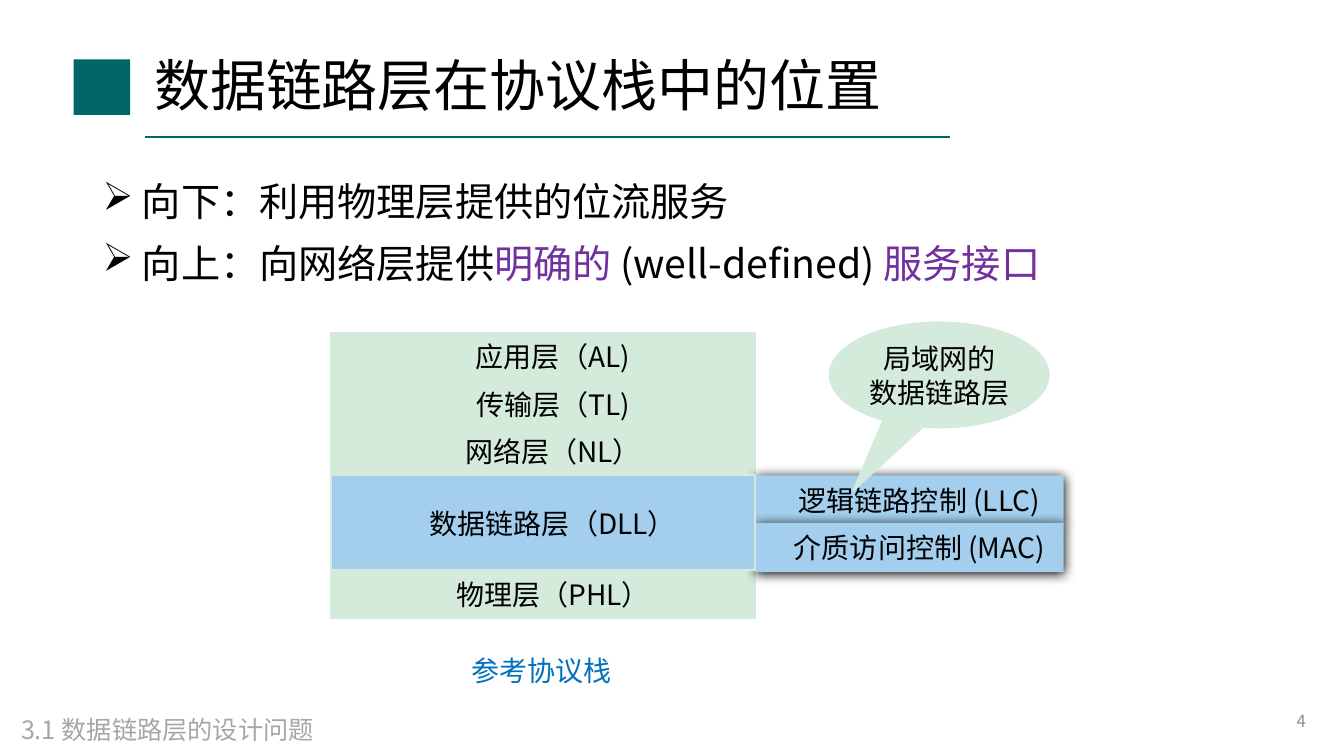
"""Build a slide that places the data link layer in the protocol stack."""
from dataclasses import dataclass, field

from lxml.etree import SubElement
from pptx import Presentation
from pptx.dml.color import RGBColor
from pptx.enum.shapes import MSO_CONNECTOR, MSO_SHAPE
from pptx.enum.text import MSO_ANCHOR, MSO_AUTO_SIZE, PP_ALIGN
from pptx.oxml.ns import qn
from pptx.util import Emu, Inches, Pt

FONT = "Noto Sans CJK SC"
WIDTH, HEIGHT = Inches(13.333), Inches(7.5)
COLOURS = {
    "teal": "006666", "black": "000000", "number": "8C8C8C", "section": "A6A6A6",
    "caption": "0070C0", "accent": "7030A0", "mint": "D4EBDB", "sky": "A3CEED",
}

STACK_LEFT, STACK_TOP, STACK_WIDTH = 24.6, 44.0, 31.58
ROW = 37.74 / 6
SUBLAYER_WIDTH, SUBLAYER_HEIGHT = 22.96, 6.53

TIGHT = {"margin_left": 0, "margin_right": 0, "margin_top": 0, "margin_bottom": 0,
         "word_wrap": False, "vertical_anchor": MSO_ANCHOR.MIDDLE}
MIDDLE = {"word_wrap": True, "vertical_anchor": MSO_ANCHOR.MIDDLE}
GROWING = {"word_wrap": True, "auto_size": MSO_AUTO_SIZE.SHAPE_TO_FIT_TEXT}
CENTRED = {"alignment": PP_ALIGN.CENTER}

Line = list[tuple[str, str]]


@dataclass(frozen=True)
class Box:
    """Hold a place as percentages of the slide's width and height."""
    left: float
    top: float
    width: float
    height: float

    def lengths(self) -> tuple[Emu, Emu, Emu, Emu]:
        """Return left, top, width and height as lengths."""
        return across(self.left), down(self.top), across(self.width), down(self.height)


@dataclass(frozen=True)
class Passage:
    """Hold lines of coloured text with their formats."""
    lines: list[Line]
    size: int
    frame: dict = field(default_factory=dict)
    paragraph: dict = field(default_factory=dict)
    indent: float = 0
    bullet: str = ""
    gap: int = 0


@dataclass(frozen=True)
class Layer:
    """Hold a layer of the stack by its first row and number of rows."""
    label: str
    row: int
    rows: int = 1
    fill: str = "mint"


UPPER_AND_PHYSICAL = [Layer("应用层（AL)", 0), Layer("传输层（TL)", 1),
                      Layer("网络层（NL）", 2), Layer("物理层（PHL）", 5)]
DATA_LINK = Layer("数据链路层（DLL）", 3, 2, "sky")
SUBLAYERS = [Layer("逻辑链路控制 (LLC)", 3, fill="sky"),
             Layer("介质访问控制 (MAC)", 4, fill="sky")]

TEXTS = [
    (Box(10.73, 5.33, 67.44, 12.8),
     Passage([[("数据链路层在协议栈中的位置", "black")]], 40, MIDDLE, {"line_spacing": 0.9})),
    (Box(70.67, 92.67, 27.23, 5.33),
     Passage([[("4", "number")]], 12, MIDDLE, {"alignment": PP_ALIGN.RIGHT})),
    (Box(0.83, 93.87, 24.68, 5.33),
     Passage([[("3.1 数据链路层的设计问题", "section")]], 18, GROWING)),
    (Box(28.36, 85.73, 23.86, 5.87),
     Passage([[("参考协议栈", "caption")]], 20, GROWING, CENTRED)),
    (Box(6.9, 22, 86.27, 17.33),
     Passage([[("向下：利用物理层提供的位流服务", "black")],
              [("向上：向网络层提供", "black"), ("明确的 ", "accent"),
               ("(well-defined) ", "black"), ("服务接口", "accent")]],
             28, {"word_wrap": True}, {"line_spacing": Pt(38)}, 0.39, "➢", 6)),
]


def across(share: float) -> Emu:
    """Turn a percentage of the slide's width into a length."""
    return Emu(round(WIDTH * share / 100))


def down(share: float) -> Emu:
    """Turn a percentage of the slide's height into a length."""
    return Emu(round(HEIGHT * share / 100))


def colour(name: str) -> RGBColor:
    """Look up a named colour."""
    return RGBColor.from_string(COLOURS[name])


def apply(target, formats: dict) -> None:
    """Set each format value on the target."""
    for attribute, value in formats.items():
        setattr(target, attribute, value)


def write(frame, passage: Passage) -> None:
    """Write a passage into a text frame."""
    apply(frame, passage.frame)
    for number, line in enumerate(passage.lines):
        paragraph = frame.add_paragraph() if number else frame.paragraphs[0]
        apply(paragraph, passage.paragraph)
        if number and passage.gap:
            paragraph.space_before = Pt(passage.gap)
        properties = paragraph._p.get_or_add_pPr()
        if passage.indent:
            properties.set("marL", str(Inches(passage.indent)))
        if passage.bullet:
            properties.set("indent", str(-Inches(passage.indent)))
            SubElement(properties, qn("a:buChar"), char=passage.bullet)
        for words, tint in line:
            run = paragraph.add_run()
            run.text = words
            apply(run.font, {"size": Pt(passage.size), "name": FONT})
            run.font.color.rgb = colour(tint)
            SubElement(run._r.get_or_add_rPr(), qn("a:ea"), typeface=FONT)


def add_block(slide, kind: MSO_SHAPE, box: Box, fill: str, edge: str = ""):
    """Draw a filled shape, with an edge if a colour is named."""
    block = slide.shapes.add_shape(kind, *box.lengths())
    block.shadow.inherit = False
    block.fill.solid()
    block.fill.fore_color.rgb = colour(fill)
    if edge:
        block.line.color.rgb = colour(edge)
        block.line.width = Pt(1.5)
    else:
        block.line.fill.background()
    return block


def add_layer(slide, layer: Layer, box: Box, edge: str = ""):
    """Draw a labelled layer."""
    block = add_block(slide, MSO_SHAPE.RECTANGLE, box, layer.fill, edge)
    write(block.text_frame,
          Passage([[(layer.label, "black")]], 20, TIGHT, CENTRED, indent=0.2))
    return block


def add_stack_layer(slide, layer: Layer) -> None:
    """Draw a layer in its rows of the stack."""
    add_layer(slide, layer, Box(STACK_LEFT, STACK_TOP + layer.row * ROW,
                                STACK_WIDTH, layer.rows * ROW), "mint")


def add_sublayer(slide, layer: Layer) -> None:
    """Draw a shadowed sublayer to the right of the stack."""
    block = add_layer(slide, layer, Box(STACK_LEFT + STACK_WIDTH, STACK_TOP + layer.row * ROW,
                                        SUBLAYER_WIDTH, SUBLAYER_HEIGHT))
    effects = block._element.spPr.find(qn("a:effectLst"))
    shadow = SubElement(effects, qn("a:outerShdw"), blurRad=str(Pt(8.5)), dist=str(Pt(1)),
                        dir=str(90 * 60000), algn="t", rotWithShape="0")
    SubElement(shadow, qn("a:srgbClr"), val=COLOURS["black"])


def add_title_rule(slide) -> None:
    """Draw the rule under the title."""
    rule = slide.shapes.add_connector(MSO_CONNECTOR.STRAIGHT, across(10.8), down(18.13),
                                      across(70.67), down(18.13))
    rule.line.color.rgb = colour("teal")
    rule.line.width = Pt(1.5)
    SubElement(rule._element.spPr, qn("a:effectLst"))


def add_lan_callout(slide) -> None:
    """Draw the callout that points at the sublayers."""
    callout = add_block(slide, MSO_SHAPE.OVAL_CALLOUT, Box(61.74, 42.67, 16.28, 13.87),
                        "mint", "mint")
    callout.adjustments[0], callout.adjustments[1] = -0.39, 1.095
    write(callout.text_frame, Passage([[("局域网的", "black")], [("数据链路层", "black")]],
                                      20, TIGHT, CENTRED))


def main() -> None:
    """Build and save the slide."""
    deck = Presentation()
    apply(deck, {"slide_width": WIDTH, "slide_height": HEIGHT})
    slide = deck.slides.add_slide(deck.slide_layouts[6])
    add_block(slide, MSO_SHAPE.RECTANGLE, Box(5.48, 7.87, 4.2, 7.33), "teal")
    add_title_rule(slide)
    for box, passage in TEXTS:
        write(slide.shapes.add_textbox(*box.lengths()).text_frame, passage)
    for layer in UPPER_AND_PHYSICAL:
        add_stack_layer(slide, layer)
    for layer in SUBLAYERS:
        add_sublayer(slide, layer)
    add_stack_layer(slide, DATA_LINK)
    add_lan_callout(slide)
    deck.save("out.pptx")


if __name__ == "__main__":
    main()
